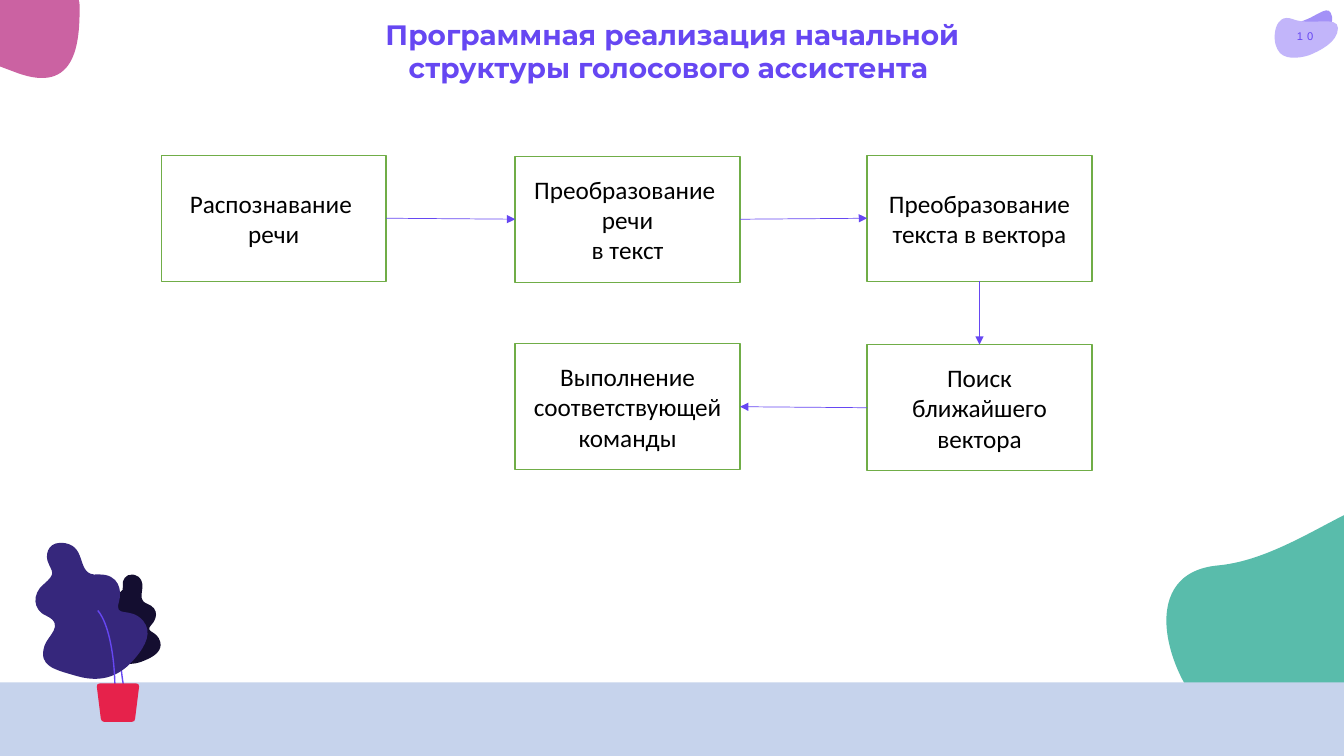
from math import cos, radians, sin

from lxml import etree
from pptx import Presentation
from pptx.dml.color import RGBColor
from pptx.enum.shapes import MSO_CONNECTOR, MSO_SHAPE
from pptx.enum.text import MSO_ANCHOR, PP_ALIGN
from pptx.oxml.ns import qn
from pptx.util import Inches, Pt

RECTANGLE, ARC = MSO_SHAPE.RECTANGLE, MSO_SHAPE.ARC
STRAIGHT = MSO_CONNECTOR.STRAIGHT
CENTER, MIDDLE = PP_ALIGN.CENTER, MSO_ANCHOR.MIDDLE
TOP, LEFT, BOTTOM, RIGHT = range(4)
VIOLET = "6647F2"
rgb = RGBColor.from_string

prs = Presentation()
prs.slide_width, prs.slide_height = Inches(13.33), Inches(7.5)
slide = prs.slides.add_slide(prs.slide_layouts[6])
shapes = slide.shapes


def paint(shape, fill=None, line=None):
    """Set fill and outline from hex colours; None means no paint."""
    shape.shadow.inherit = False
    if fill:
        shape.fill.solid()
        shape.fill.fore_color.rgb = rgb(fill)
    else:
        shape.fill.background()
    if line:
        shape.line.color.rgb = rgb(line)
        shape.line.width = Pt(1)
    else:
        shape.line.fill.background()


def write(frame, text, size, font, color, bold=False):
    """Fill a text frame with centred paragraphs in one style."""
    frame.text = text
    for paragraph in frame.paragraphs:
        paragraph.alignment = CENTER
        for run in paragraph.runs:
            run.font.size, run.font.name, run.font.bold = Pt(size), font, bold
            run.font.color.rgb = rgb(color)


# Each outline: colour, box, rotation, start point, then line ends (2 numbers)
# or cubic curves (6 numbers), all as they lie on the slide.
badge = [
    ("A391F7", (12.79, 0.15, 0.47, 0.3), 333.6, (12.87, 0.47), [
        (12.8, 0.42, 12.73, 0.23, 12.87, 0.22), (13.02, 0.2, 13.16, 0.04, 13.2, 0.13),
        (13.25, 0.22, 13.15, 0.35, 13.1, 0.41), (13.04, 0.46, 12.94, 0.53, 12.87, 0.47)]),
    ("C2B5FA", (12.64, 0.18, 0.62, 0.4), 0, (12.67, 0.49), [
        (12.61, 0.39, 12.64, 0.12, 12.82, 0.19), (13, 0.26, 13.27, 0.15, 13.27, 0.28),
        (13.27, 0.42, 13.08, 0.51, 12.98, 0.55), (12.88, 0.58, 12.72, 0.6, 12.67, 0.49)]),
]
hill = ("59BCAB", (11.58, 5.21, 2.83, 1.81), 333.8, (12.06, 7.16), [
    (11.62, 6.84, 11.21, 5.69, 12.08, 5.61), (12.95, 5.53, 13.81, 4.56, 14.08, 5.11),
    (14.35, 5.66, 13.76, 6.42, 13.42, 6.76), (13.08, 7.11, 12.5, 7.49, 12.06, 7.16)])
corner = ("CB62A2", (-0.57, -0.15, 1.35, 0.93), 0, (-0.56, 0.34), [
    (-0.61, 0.21, -0.38, -0.03, -0.15, -0.07), (0.07, -0.12, 0.79, -0.28, 0.79, 0.06),
    (0.79, 0.4, 0.77, 0.95, 0.16, 0.72), (-0.45, 0.49, -0.51, 0.47, -0.56, 0.34)])
small_leaf = ("140E30", (0.92, 5.69, 0.68, 0.9), 0, (1.37, 5.72), [
    (1.29, 5.67, 1.23, 5.72, 1.22, 5.77), (1.21, 5.85, 1.25, 5.87, 1.13, 5.89),
    (1.05, 5.92, 1, 6, 1.06, 6.08), (1.15, 6.18, 1.01, 6.19, 0.97, 6.24),
    (0.88, 6.33, 0.95, 6.39, 1.07, 6.49), (1.19, 6.6, 1.31, 6.61, 1.44, 6.55),
    (1.54, 6.51, 1.61, 6.45, 1.59, 6.37), (1.56, 6.25, 1.43, 6.28, 1.5, 6.2),
    (1.55, 6.15, 1.59, 6.04, 1.46, 5.99), (1.33, 5.94, 1.48, 5.81, 1.37, 5.72)])
large_leaf = ("36277C", (0.34, 5.38, 1.12, 1.36), 0, (0.65, 5.39), [
    (0.49, 5.36, 0.45, 5.48, 0.47, 5.56), (0.51, 5.68, 0.57, 5.68, 0.43, 5.8),
    (0.32, 5.89, 0.32, 6.05, 0.46, 6.11), (0.65, 6.2, 0.47, 6.31, 0.44, 6.41),
    (0.38, 6.61, 0.53, 6.64, 0.77, 6.71), (1.02, 6.78, 1.2, 6.7, 1.34, 6.53),
    (1.45, 6.4, 1.51, 6.27, 1.42, 6.16), (1.29, 6.01, 1.13, 6.14, 1.18, 5.97),
    (1.21, 5.87, 1.19, 5.69, 0.97, 5.7), (0.75, 5.72, 0.87, 5.43, 0.65, 5.39)])
pot = ("E6224B", (0.95, 6.77, 0.42, 0.39), 0, (1.03, 7.16), [
    (1.31, 7.16), (1.33, 7.16, 1.34, 7.15, 1.34, 7.13), (1.38, 6.81),
    (1.38, 6.79, 1.37, 6.78, 1.35, 6.78), (0.99, 6.78),
    (0.97, 6.78, 0.96, 6.79, 0.96, 6.81), (1, 7.13),
    (1, 7.15, 1.02, 7.16, 1.03, 7.16)])

# A stem is its box, rotation and the start of its arc.
back_stem = ((1.19, 5.55, 0.51, 1.67), 180, 177.48)
front_stem = ((0.63, 6.01, 0.51, 1.67), 0, 165.69)
floor = ((0, 6.77, 13.33, 0.78),)
plant = [back_stem, small_leaf, large_leaf, front_stem]

# Back to front; a layer of several parts becomes a group.
for layer in [badge, [hill], [corner], [floor], plant, [pot]]:
    parts = []
    for item in layer:
        if item is floor:
            part = shapes.add_shape(RECTANGLE, *map(Inches, item[0]))
            paint(part, "C6D3EC")
        elif len(item) == 3:
            box, rotation, arc_start = item
            part = shapes.add_shape(ARC, *map(Inches, box))
            part.adjustments[0], part.adjustments[1] = arc_start, 0
            part.rotation = rotation
            paint(part, line=VIOLET)
        else:
            color, box, rotation, start, segments = item
            left, top, width, height = map(Inches, box)
            center_x, center_y = left + width / 2, top + height / 2
            turn = radians(-rotation)
            numbers = [*start, *(n for segment in segments for n in segment)]
            points = []
            for x, y in zip(numbers[::2], numbers[1::2]):
                dx, dy = Inches(x) - center_x, Inches(y) - center_y
                points.append((center_x + dx * cos(turn) - dy * sin(turn),
                               center_y + dx * sin(turn) + dy * cos(turn)))
            builder = shapes.build_freeform(*points[0])
            builder.add_line_segments(points[1:], close=True)
            part = builder.convert_to_shape()
            outline = next(part._element.iter(qn("a:path")))
            for point in outline.iter(qn("a:pt")):
                point.set("x", str(int(point.get("x")) + part.left - left))
                point.set("y", str(int(point.get("y")) + part.top - top))
            line_ends = iter(outline.findall(qn("a:lnTo")))
            for segment in segments:
                ends = [next(line_ends) for _ in segment[::2]]
                if len(ends) == 3:
                    curve = etree.Element(qn("a:cubicBezTo"))
                    ends[0].addprevious(curve)
                    for end in ends:
                        curve.append(end[0])
                        outline.remove(end)
            outline.set("w", str(width))
            outline.set("h", str(height))
            part.left, part.top, part.width, part.height = left, top, width, height
            part.rotation = rotation
            paint(part, color)
        parts.append(part)
    if len(parts) > 1:
        shapes.add_group_shape(parts)

page_number = shapes.add_textbox(Inches(12.56), Inches(0.01), Inches(0.77), Inches(0.69))
page_number.text_frame.vertical_anchor = MIDDLE
page_number.text_frame.word_wrap = False
write(page_number.text_frame, "10", 8, "Arial", VIOLET)
page_number.text_frame.paragraphs[0].runs[0].font._element.set("spc", "300")

# Flow of steps: (column, top, text).
column_lefts = (1.6, 5.11, 8.6)
steps = [
    (0, 1.54, "Распознавание \nречи"),
    (1, 1.55, "Преобразование \nречи\nв текст"),
    (2, 1.54, "Преобразование текста в вектора"),
    (2, 3.42, "Поиск ближайшего вектора"),
    (1, 3.41, "Выполнение соответствующей команды"),
]
step_boxes = []
for column, top, text in steps:
    step_box = shapes.add_shape(RECTANGLE, Inches(column_lefts[column]), Inches(top),
                                Inches(2.23), Inches(1.25))
    paint(step_box, "FFFFFF", "70AD47")
    step_box.text_frame.word_wrap = True
    step_box.text_frame.vertical_anchor = MIDDLE
    write(step_box.text_frame, text, 18, "Calibri", "000000")
    step_boxes.append(step_box)

sides = [(RIGHT, LEFT), (RIGHT, LEFT), (BOTTOM, TOP), (LEFT, RIGHT)]
for source, target, (exit_side, entry_side) in zip(step_boxes, step_boxes[1:], sides):
    arrow = shapes.add_connector(STRAIGHT, 0, 0, 0, 0)
    arrow.begin_connect(source, exit_side)
    arrow.end_connect(target, entry_side)
    arrow.line.color.rgb = rgb(VIOLET)
    arrow.line.width = Pt(0.5)
    etree.SubElement(arrow.line._get_or_add_ln(), qn("a:tailEnd"), type="triangle")
    etree.SubElement(arrow._element.spPr, qn("a:effectLst"))

title = shapes.add_textbox(Inches(3.39), Inches(0.12), Inches(6.56), Inches(0.77))
title.text_frame.word_wrap = True
write(title.text_frame, "Программная реализация начальной структуры голосового ассистента ",
      20, "Montserrat", VIOLET, bold=True)

prs.save("out.pptx")
